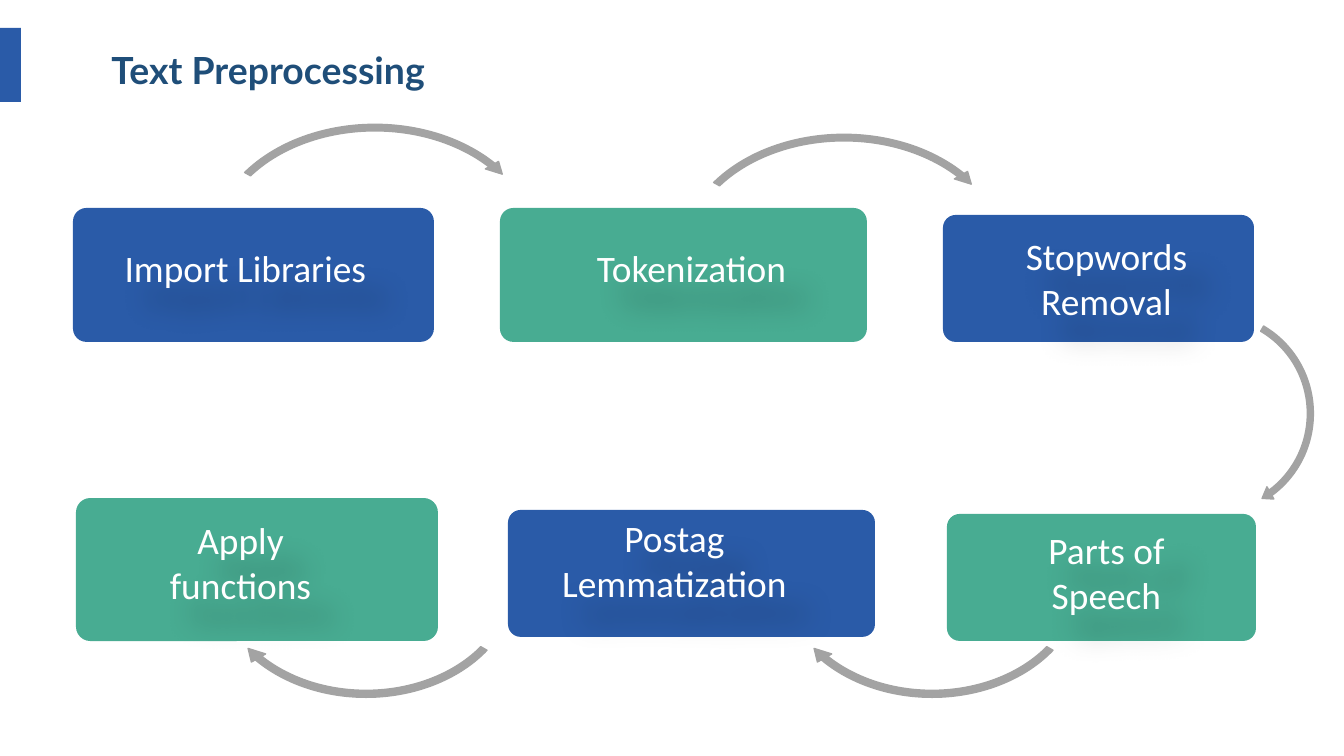
from lxml.etree import SubElement
from pptx import Presentation
from pptx.dml.color import RGBColor
from pptx.enum.shapes import MSO_SHAPE as Kind
from pptx.enum.text import MSO_ANCHOR as Anchor, MSO_AUTO_SIZE as Auto, PP_ALIGN as Align
from pptx.oxml.ns import qn
from pptx.util import Emu, Pt

SCALE = 914400 / 134.4
BLUE, GREEN, GRAY, NAVY, WHITE = "2A5BA8", "48AC92", "A3A3A3", "1F4E79", "FFFFFF"
RIGHT = Kind.CIRCULAR_ARROW, (0.026, 3.115, 195.129, 125.755, 0.03)
LEFT = Kind.LEFT_CIRCULAR_ARROW, (0.029, 3.512, 21.267, 90.245, 0.034)

STEPS = [
    ("Import Libraries", (73, 208, 361, 134), (14, 31, 317, 78), BLUE, False),
    ("Tokenization", (500, 208, 367, 134), (62, 31, 259, 83), GREEN, False),
    ("Stopwords Removal", (943, 215, 311, 127), (38, 12, 251, 103), BLUE, True),
    ("Parts of Speech", (947, 514, 309, 127), (34, 7, 251, 103), GREEN, True),
    ("Postag Lemmatization", (508, 510, 367, 127), (1, -1, 331, 103), BLUE, True),
    ("Apply functions", (76, 498, 362, 143), (46, 13, 237, 103), GREEN, True),
]
ARROWS = [
    (RIGHT, (207, 120, 336, 253), 0),
    (RIGHT, (676, 130, 336, 253), 0),
    (LEFT, (1109, 310, 210, 207), 90),
    (LEFT, (777, 461, 310, 241), 180),
    (LEFT, (211, 461, 310, 241), 180),
]


def px(*nums):
    """Turn px lengths into EMU."""
    return [Emu(round(n * SCALE)) for n in nums]


def tint(color, code):
    """Set a colour from a hex string."""
    color.rgb = RGBColor.from_string(code)


def paint(shape, code):
    """Fill a shape flat, with no line or shadow."""
    shape.fill.solid()
    tint(shape.fill.fore_color, code)
    shape.line.fill.background()
    shape.shadow.inherit = False


def write(frame, text, font, code, align, bold=False):
    """Write one run of text in a frame."""
    para = frame.paragraphs[0]
    para.alignment = align
    run = para.add_run()
    run.text = text
    run.font.name, run.font.size, run.font.bold = font, Pt(20), bold
    tint(run.font.color, code)


def glow(shape):
    """Give a text box a soft shadow below and to the right."""
    fx = SubElement(shape._element.spPr, qn("a:effectLst"))
    cast = SubElement(fx, qn("a:outerShdw"), blurRad="190500", dist="228600",
                      dir="3000000", algn="ctr", rotWithShape="0")
    color = SubElement(cast, qn("a:srgbClr"), val="000000")
    SubElement(color, qn("a:alpha"), val="30000")


def head(slide, box):
    """Place the title and the bar at the slide's edge."""
    x, y, w, h = box
    bar = slide.shapes.add_shape(Kind.RECTANGLE, *px(x, y, 21, h))
    paint(bar, BLUE)
    title = slide.shapes.title
    title.left, title.top, title.width, title.height = px(x + 98, y + 12, w - 98, 59)
    frame = title.text_frame
    frame.word_wrap, frame.auto_size = True, Auto.NONE
    frame.vertical_anchor = Anchor.MIDDLE
    write(frame, "Text Preprocessing", "Lato", NAVY, Align.LEFT, True)


def step(slide, text, box, inner, code, wrap):
    """Place one rounded card with its label."""
    x, y, w, h = box
    dx, dy, wide, high = inner
    parts = slide.shapes.add_group_shape().shapes
    card = parts.add_shape(Kind.ROUNDED_RECTANGLE, *px(*box))
    card.adjustments[0] = 0.1
    paint(card, code)
    label = parts.add_textbox(*px(x + dx, y + dy, wide, high))
    frame = label.text_frame
    frame.word_wrap = wrap
    write(frame, text, "Calibri", WHITE, Align.CENTER)
    glow(label)


def arrow(slide, style, box, turn):
    """Place one curved arrow."""
    kind, sizes = style
    arc = slide.shapes.add_shape(kind, *px(*box))
    for i, size in enumerate(sizes):
        arc.adjustments[i] = size
    paint(arc, GRAY)
    tint(arc.line.color, GRAY)
    arc.line.width = Pt(0.75)
    arc.rotation = turn
    if turn:
        arc._element.spPr.find(qn("a:xfrm")).set("flipV", "1")


def main():
    """Build and save the slide."""
    deck = Presentation()
    deck.slide_width, deck.slide_height = px(1344, 756)
    slide = deck.slides.add_slide(deck.slide_layouts[5])
    head(slide, (0, 28, 566, 74))
    for item in STEPS:
        step(slide, *item)
    for item in ARROWS:
        arrow(slide, *item)
    deck.save("out.pptx")


if __name__ == "__main__":
    main()
